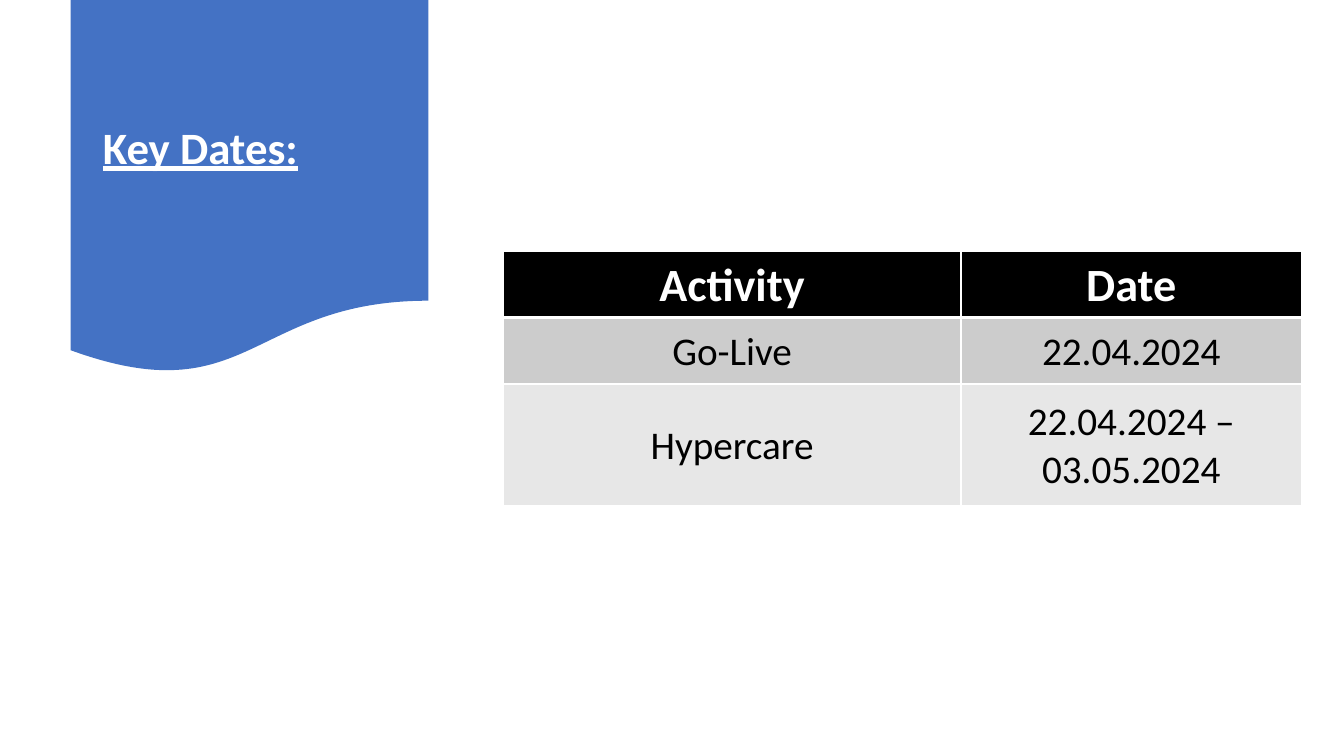
from dataclasses import dataclass

from lxml import etree
from pptx import Presentation
from pptx.dml.color import RGBColor
from pptx.enum.shapes import MSO_SHAPE
from pptx.enum.text import MSO_ANCHOR, PP_ALIGN
from pptx.oxml.ns import qn
from pptx.util import Inches, Pt

WAVE = MSO_SHAPE.FLOWCHART_DOCUMENT
MIDDLE = MSO_ANCHOR.MIDDLE
LEFT, CENTER = PP_ALIGN.LEFT, PP_ALIGN.CENTER


@dataclass(frozen=True)
class Theme:
    """Colours, font and type sizes of the slide."""
    font: str = "Calibri"
    blue: str = "4472C4"
    white: str = "FFFFFF"
    black: str = "000000"
    bands: tuple = ("CCCCCC", "E7E7E7")
    title: int = 32
    head: int = 33
    body: int = 28
    thin: int = 1
    thick: int = 3


class Board:
    """Draws on one slide with a grid of 100 columns and 100 rows."""

    def __init__(self, deck, theme):
        """Add a title-only slide and work out its grid."""
        self.theme = theme
        self.slide = deck.slides.add_slide(deck.slide_layouts[5])
        self.col = deck.slide_width / 100
        self.row = deck.slide_height / 100

    def box(self, x, y, w, h):
        """Turn grid units into lengths."""
        return [round(n * unit) for n, unit in
                zip((x, y, w, h), (self.col, self.row) * 2)]

    def style(self, para, size, color, bold, align):
        """Set the font and alignment of a paragraph."""
        para.alignment = align
        font = para.font
        font.name, font.size, font.bold = self.theme.font, Pt(size), bold
        font.color.rgb = RGBColor.from_string(color)

    def banner(self, *area):
        """Place the wavy blue shape behind the title."""
        shape = self.slide.shapes.add_shape(WAVE, *self.box(*area))
        shape.shadow.inherit = False
        shape.fill.solid()
        shape.fill.fore_color.rgb = RGBColor.from_string(self.theme.blue)
        shape.line.fill.background()
        self.slide.shapes.title.element.addprevious(shape.element)

    def title(self, text, *area):
        """Move, fill and format the title placeholder."""
        title = self.slide.shapes.title
        title.left, title.top, title.width, title.height = self.box(*area)
        frame = title.text_frame
        frame.text = text
        frame.vertical_anchor = MIDDLE
        para = frame.paragraphs[0]
        para.line_spacing = 0.9
        self.style(para, self.theme.title, self.theme.white, True, LEFT)
        para.font.underline = True

    def edges(self, cell, base):
        """Draw white borders, with the given width at the base."""
        props = cell._tc.get_or_add_tcPr()
        for side in "LRTB":
            width = base if side == "B" else self.theme.thin
            line = etree.SubElement(props, qn(f"a:ln{side}"), w=str(Pt(width)))
            fill = etree.SubElement(line, qn("a:solidFill"))
            etree.SubElement(fill, qn("a:srgbClr"), val=self.theme.white)

    def cell(self, cell, text, fill, size, color, bold, base):
        """Fill and format one table cell."""
        self.edges(cell, base)
        cell.text = text
        cell.vertical_anchor = MIDDLE
        cell.margin_left = cell.margin_right = cell.margin_top = Inches(0.02)
        cell.margin_bottom = 0
        cell.fill.solid()
        cell.fill.fore_color.rgb = RGBColor.from_string(fill)
        self.style(cell.text_frame.paragraphs[0], size, color, bold, CENTER)

    def table(self, data, x, y, cols, rows):
        """Add a table with a dark head and banded rows."""
        look = self.theme
        area = self.box(x, y, sum(cols), sum(rows))
        table = self.slide.shapes.add_table(len(rows), len(cols), *area).table
        for part, share in zip(table.columns, cols):
            part.width = round(share * self.col)
        for part, share in zip(table.rows, rows):
            part.height = round(share * self.row)
        head = (look.black, look.head, look.white, True, look.thick)
        body = [(band, look.body, look.black, False, look.thin)
                for band in look.bands]
        for r, line in enumerate(data):
            kind = body[(r - 1) % len(body)] if r else head
            for c, text in enumerate(line):
                self.cell(table.cell(r, c), text, *kind)


def main():
    """Build the key dates slide."""
    deck = Presentation()
    deck.slide_width, deck.slide_height = Inches(13.33), Inches(7.5)
    board = Board(deck, Theme())
    board.banner(5.25, 0, 26.63, 49.6)
    board.title("Key Dates:", 6.9, 2.53, 23.33, 34.53)
    dates = [
        ("Activity", "Date"),
        ("Go-Live", "22.04.2024"),
        ("Hypercare", "22.04.2024 – 03.05.2024"),
    ]
    board.table(dates, 37.45, 33.2, (34.05, 25.35), (8.8, 8.8, 16.1))
    deck.save("out.pptx")


if __name__ == "__main__":
    main()
